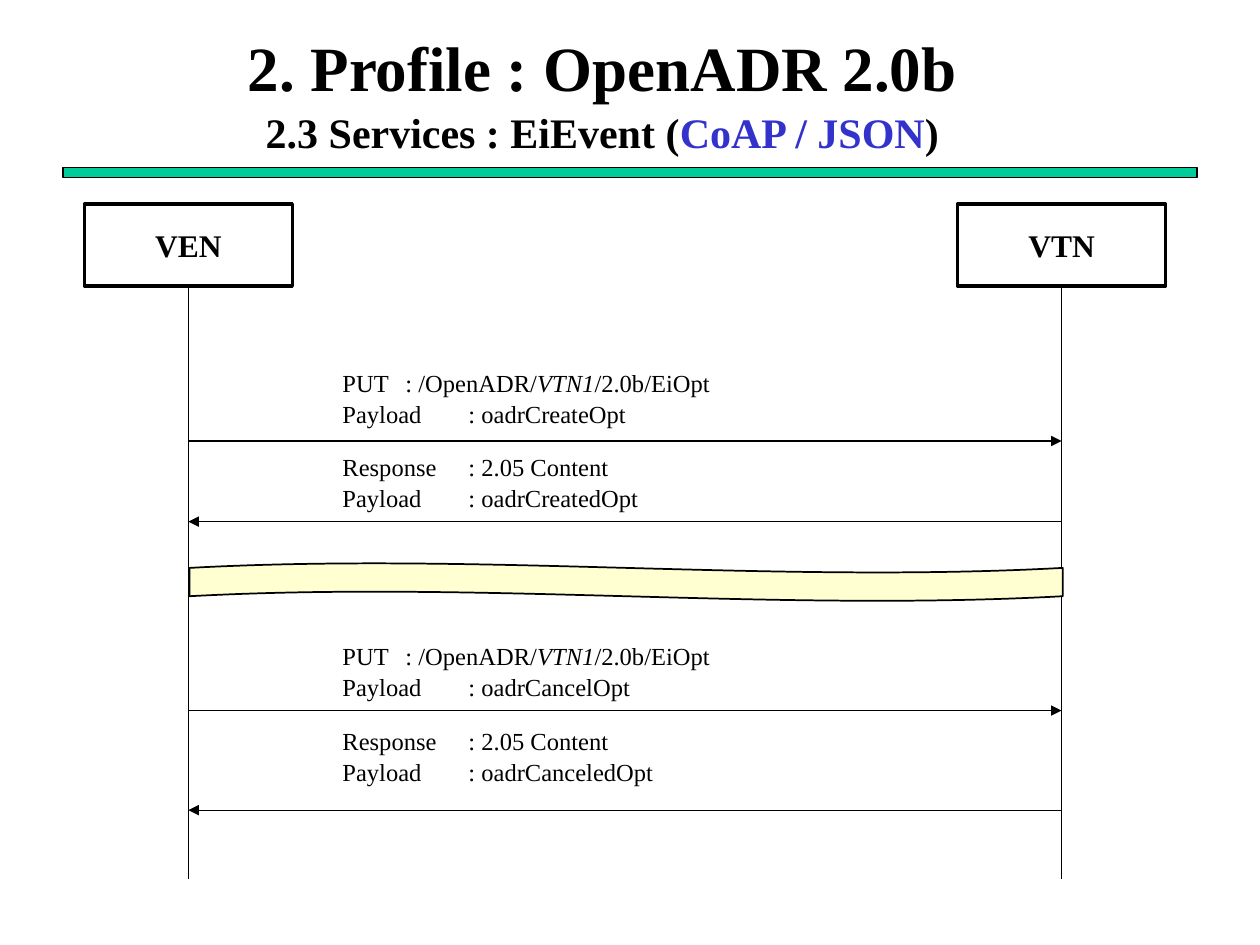
from dataclasses import dataclass

from lxml import etree
from pptx import Presentation
from pptx.dml.color import RGBColor
from pptx.enum import shapes, text
from pptx.oxml import ns
from pptx.util import Inches, Pt


@dataclass(frozen=True)
class Theme:
    font: str = "Times New Roman"
    ink: RGBColor = RGBColor.from_string("000000")
    accent: RGBColor = RGBColor.from_string("3333CC")
    rule: RGBColor = RGBColor.from_string("00CC99")
    wave: RGBColor = RGBColor.from_string("FFFFD1")
    title: int = 36
    subtitle: int = 24
    actor: int = 18
    message: int = 14
    leading: float = 1.05


THEME = Theme()


def add_run(paragraph, words, size, bold=False, italic=False, color=THEME.ink):
    run = paragraph.add_run()
    run.text = words
    font = run.font
    font.name, font.size, font.bold, font.italic = THEME.font, Pt(size), bold, italic
    font.color.rgb = color


def add_block(slide, kind, left, top, width, height, line_width, fill=None):
    """Add an outlined preset shape, unfilled unless a colour is given."""
    block = slide.shapes.add_shape(
        kind, Inches(left), Inches(top), Inches(width), Inches(height))
    block.shadow.inherit = False
    if fill is None:
        block.fill.background()
    else:
        block.fill.solid()
        block.fill.fore_color.rgb = fill
    block.line.color.rgb = THEME.ink
    block.line.width = Pt(line_width)
    return block


def add_line(slide, x1, y1, x2, y2, arrow=False):
    line = slide.shapes.add_connector(
        shapes.MSO_CONNECTOR.STRAIGHT, Inches(x1), Inches(y1), Inches(x2), Inches(y2))
    line.line.color.rgb = THEME.ink
    line.line.width = Pt(0.75)
    if arrow:
        etree.SubElement(line.line._get_or_add_ln(), ns.qn("a:tailEnd"), type="triangle")
    etree.SubElement(line._element.spPr, ns.qn("a:effectLst"))
    return line


def add_header(slide, left, top, width, height):
    title = slide.shapes.title
    title.left, title.top = Inches(left), Inches(top)
    title.width, title.height = Inches(width), Inches(height)
    frame = title.text_frame
    frame.auto_size = text.MSO_AUTO_SIZE.NONE
    frame.vertical_anchor = text.MSO_ANCHOR.MIDDLE
    heading = frame.paragraphs[0]
    heading.alignment = text.PP_ALIGN.CENTER
    heading.line_spacing = THEME.leading
    add_run(heading, "2. Profile : OpenADR 2.0b", THEME.title, bold=True)
    heading.add_line_break()
    add_run(heading, "2.3 Services : EiEvent (", THEME.subtitle, bold=True)
    add_run(heading, "CoAP / JSON", THEME.subtitle, bold=True, color=THEME.accent)
    add_run(heading, ")", THEME.subtitle, bold=True)


def add_actor(slide, name, left, top, width, height, lifeline_end):
    """Add a named box with its lifeline and return the lifeline's x."""
    actor = add_block(slide, shapes.MSO_SHAPE.RECTANGLE, left, top, width, height, 2)
    frame = actor.text_frame
    frame.vertical_anchor = text.MSO_ANCHOR.MIDDLE
    label = frame.paragraphs[0]
    label.alignment = text.PP_ALIGN.CENTER
    add_run(label, name, THEME.actor, bold=True)
    middle = left + width / 2
    lifeline = add_line(slide, middle, top + height, middle, lifeline_end)
    lifeline.begin_connect(actor, 2)
    return middle


def add_message(slide, rows, left, top, width, height):
    """Add one paragraph per row; a row lists (words, italic) pairs."""
    box = slide.shapes.add_textbox(
        Inches(left), Inches(top), Inches(width), Inches(height))
    frame = box.text_frame
    frame.word_wrap = True
    for index, row in enumerate(rows):
        paragraph = frame.add_paragraph() if index else frame.paragraphs[0]
        paragraph.line_spacing = THEME.leading
        for words, italic in row:
            add_run(paragraph, words, THEME.message, italic=italic)


def add_exchange(slide, ven_x, vtn_x, top, request_y, response_y, request, response):
    """Add a request from VEN to VTN and the response below it."""
    put = [("PUT \t: /OpenADR/", False), ("VTN1", True), ("/2.0b/EiOpt", False)]
    answer = [("Response\t: 2.05 Content", False)]
    label_left, label_width, label_height, label_pitch = 2.62, 3.7, 0.57, 0.67
    add_message(slide, [put, [(f"Payload \t: {request}", False)]],
                label_left, top, label_width, label_height)
    add_line(slide, ven_x, request_y, vtn_x, request_y, arrow=True)
    add_message(slide, [answer, [(f"Payload\t: {response}", False)]],
                label_left, top + label_pitch, label_width, label_height)
    add_line(slide, vtn_x, response_y, ven_x, response_y, arrow=True)


def add_sequence(slide, left, top, width, height):
    box_width, box_height = 1.65, 0.65
    bottom = top + height
    ven_x = add_actor(slide, "VEN", left, top, box_width, box_height, bottom)
    vtn_x = add_actor(slide, "VTN", left + width - box_width, top,
                      box_width, box_height, bottom)
    add_exchange(slide, ven_x, vtn_x, top + 1.24, top + 1.88, top + 2.52,
                 "oadrCreateOpt", "oadrCreatedOpt")
    add_exchange(slide, ven_x, vtn_x, top + 3.41, top + 4.02, top + 4.81,
                 "oadrCancelOpt", "oadrCanceledOpt")
    add_block(slide, shapes.MSO_SHAPE.WAVE, ven_x + 0.01, top + 2.85,
              vtn_x - ven_x, 0.3, 1, THEME.wave)


def main():
    deck = Presentation()
    deck.slide_width, deck.slide_height = Inches(10), Inches(7.5)
    slide = deck.slides.add_slide(deck.slide_layouts[5])
    add_block(slide, shapes.MSO_SHAPE.RECTANGLE, 0.5, 1.33, 9, 0.08, 0.75, THEME.rule)
    add_header(slide, 0.03, 0.26, 9.5, 0.92)
    add_sequence(slide, 0.67, 1.62, 8.58, 5.36)
    deck.save("out.pptx")


if __name__ == "__main__":
    main()
